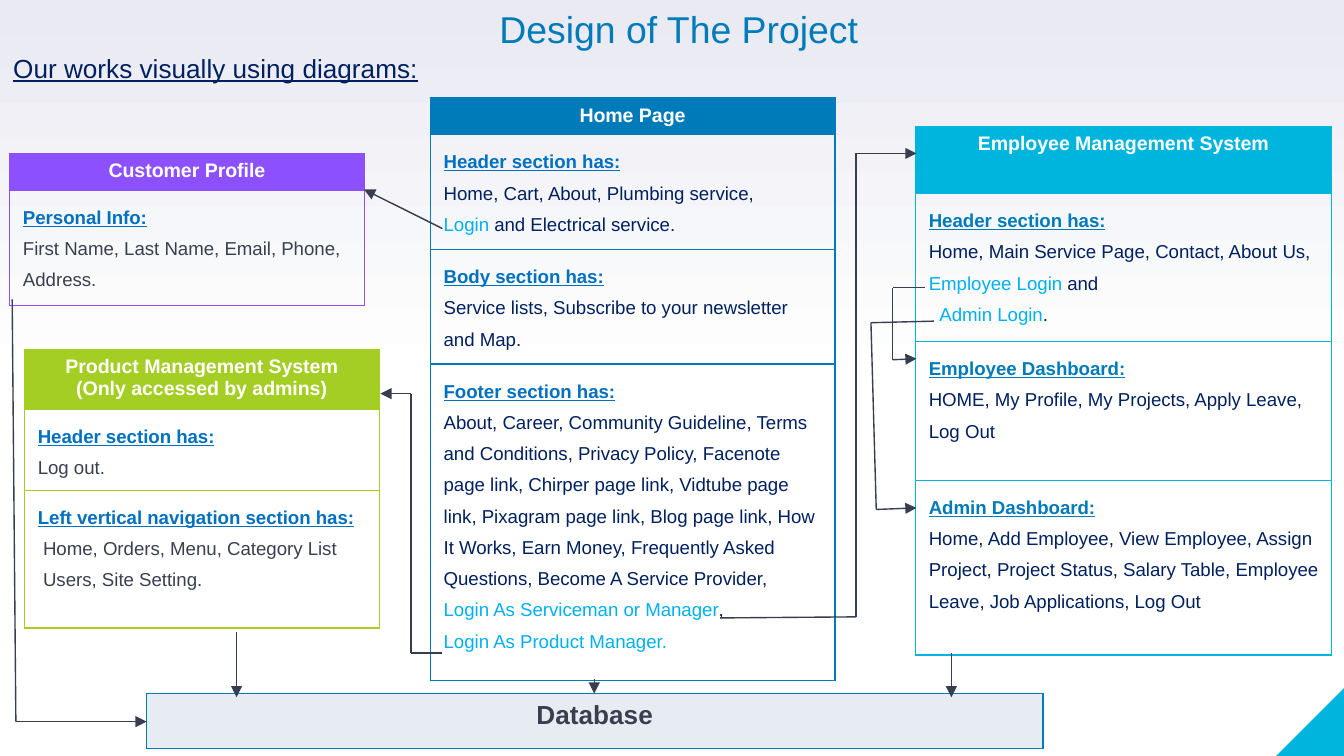
"""Build the project design slide: page tables linked by arrows to a database."""
from copy import deepcopy
from itertools import pairwise

from lxml import etree
from pptx import Presentation
from pptx import util as u
from pptx.dml.color import RGBColor
from pptx.enum import shapes, text
from pptx.oxml.ns import qn

WHITE = RGBColor(0xFF, 0xFF, 0xFF)
MIST = RGBColor(0xE9, 0xEA, 0xF2)
PALE = RGBColor(0xE7, 0xEC, 0xF3)
NAVY = RGBColor(0x00, 0x20, 0x60)
SLATE = RGBColor(0x3A, 0x3F, 0x50)
ARROW = RGBColor(0x38, 0x3D, 0x4F)
BLUE = RGBColor(0x00, 0x7B, 0xB9)
LINK = RGBColor(0x00, 0x70, 0xC0)
SKY = RGBColor(0x00, 0xB0, 0xF0)
CYAN = RGBColor(0x00, 0xB5, 0xDD)
GREEN = RGBColor(0xA4, 0xCE, 0x23)
PURPLE = RGBColor(0x8C, 0x50, 0xFF)


def write(paragraph, words, size=10, color=NAVY, bold=False, underline=False):
    run = paragraph.add_run()
    run.text = words
    font = run.font
    font.name, font.size, font.bold, font.underline = "Arial", u.Pt(size), bold, underline
    font.color.rgb = color


class Diagram:
    def __init__(self, slide, body_color=NAVY, line_width=0.75):
        self.slide = slide
        self.body_color = body_color
        self.line_width = line_width

    def background(self):
        fill = self.slide.background.fill
        fill.gradient()
        fill.gradient_angle = 90
        first = next(self.slide.element.iter(qn("a:gs")))
        first.addnext(deepcopy(first))
        for stop, position, color in zip(fill.gradient_stops, (0, 0.5, 1), (WHITE, WHITE, MIST)):
            stop.position = position
            stop.color.rgb = color

    def corner(self, left, top, side):
        corner = self.slide.shapes.add_shape(
            shapes.MSO_SHAPE.RIGHT_TRIANGLE, u.Cm(left), u.Cm(top), u.Cm(side), u.Cm(side))
        corner.rotation = 270
        corner.shadow.inherit = False
        corner.fill.solid()
        corner.fill.fore_color.rgb = CYAN
        corner.line.fill.background()

    def heading(self, words, left, top, width, height, **style):
        box = self.slide.shapes.add_textbox(u.Cm(left), u.Cm(top), u.Cm(width), u.Cm(height))
        box.text_frame.word_wrap = False
        write(box.text_frame.paragraphs[0], words, **style)

    def style_cell(self, cell, border, fill=None):
        properties = cell._tc.get_or_add_tcPr()
        for side in ("a:lnL", "a:lnR", "a:lnT", "a:lnB"):
            line = etree.SubElement(properties, qn(side), w=str(u.Pt(self.line_width)))
            solid = etree.SubElement(line, qn("a:solidFill"))
            etree.SubElement(solid, qn("a:srgbClr"), val=str(border))
        if fill is None:
            cell.fill.background()
        else:
            cell.fill.solid()
            cell.fill.fore_color.rgb = fill

    def panel(self, titles, sections, left, top, width, heights, accent,
              title_fill=None, title_color=WHITE, title_size=10.5, link=LINK):
        frame = self.slide.shapes.add_table(
            len(heights), 1, u.Cm(left), u.Cm(top), u.Cm(width), u.Cm(sum(heights)))
        table = frame.table
        table.first_row = table.horz_banding = False
        for row, height in zip(table.rows, heights):
            row.height = u.Cm(height)
        title_cell, *section_cells = (row.cells[0] for row in table.rows)
        self.style_cell(title_cell, accent, title_fill or accent)
        for index, title in enumerate(titles):
            paragraph = self.paragraph(title_cell, index)
            paragraph.alignment = text.PP_ALIGN.CENTER
            write(paragraph, title, size=title_size, color=title_color, bold=True)
        for cell, (name, indents, *lines) in zip(section_cells, sections):
            self.style_cell(cell, accent)
            paragraph = self.paragraph(cell, 0, 1.5)
            write(paragraph, name, color=link, bold=True, underline=True)
            for index, runs in enumerate(lines, 1):
                paragraph = self.paragraph(cell, index, 1.5)
                if index in indents:
                    paragraph._p.get_or_add_pPr().set("marL", str(u.Cm(indents[index])))
                for words, color in runs:
                    write(paragraph, words, color=color or self.body_color)

    def paragraph(self, cell, index, spacing=None):
        frame = cell.text_frame
        paragraph = frame.add_paragraph() if index else frame.paragraphs[0]
        paragraph.line_spacing = spacing
        return paragraph

    def route(self, *points):
        for start, end in pairwise(points):
            line = self.slide.shapes.add_connector(
                shapes.MSO_CONNECTOR.STRAIGHT, *map(u.Cm, start), *map(u.Cm, end))
            line.line.color.rgb = ARROW
            line.line.width = u.Pt(self.line_width)
            etree.SubElement(line._element.spPr, qn("a:effectLst"))
        etree.SubElement(line.line._get_or_add_ln(), qn("a:tailEnd"), type="triangle")


HOME = [
    ("Header section has:", {},
     [("Home, Cart, About, Plumbing service,", None)],
     [("Login", SKY), (" and Electrical service.", None)]),
    ("Body section has:", {},
     [("Service lists, Subscribe to your newsletter and Map.", None)]),
    ("Footer section has:", {},
     [("About, Career, Community Guideline, Terms and Conditions, Privacy Policy, Facenote "
       "page link, Chirper page link, Vidtube page link, Pixagram page link, Blog page link, "
       "How It Works, Earn Money, Frequently Asked Questions, Become A Service Provider,", None)],
     [("Login As Serviceman or Manager", SKY), (",", None)],
     [("Login As Product Manager.", SKY)]),
]
EMPLOYEE = [
    ("Header section has:", {2: 0.2},
     [("Home, Main Service Page, Contact, About Us, ", None), ("Employee Login ", SKY),
      ("and", None)],
     [("Admin Login", SKY), (".", None)]),
    ("Employee Dashboard:", {},
     [("HOME, My Profile, My Projects, Apply Leave, Log Out", None)]),
    ("Admin Dashboard:", {},
     [("Home, Add Employee, View Employee, Assign Project, Project Status, Salary Table, "
       "Employee Leave, Job Applications, Log Out", None)]),
]
PRODUCT = [
    ("Header section has:", {}, [("Log out.", SLATE)]),
    ("Left vertical navigation section has:", {1: 0.1, 2: 0.1},
     [("Home, Orders, Menu, Category List", SLATE)], [("Users, Site Setting.", SLATE)]),
]
CUSTOMER = [
    ("Personal Info:", {}, [("First Name, Last Name, Email, Phone, Address.", SLATE)]),
]
ROUTES = [
    [(13.61, 11.68), (16.18, 11.66), (16.18, 2.9), (17.32, 2.9)],
    [(17.48, 5.44), (16.87, 5.44), (16.87, 6.8), (17.32, 6.78)],
    [(17.65, 6.07), (16.46, 6.1), (16.56, 9.63), (17.32, 9.6)],
    [(8.36, 12.34), (7.77, 12.34), (7.77, 7.44), (7.19, 7.44)],
    [(8.36, 4.32), (6.88, 3.58)],
    [(0.23, 5.66), (0.3, 13.64), (2.77, 13.64)],
    [(4.47, 11.94), (4.47, 13.18)],
    [(11.23, 12.83), (11.23, 13.11)],
    [(17.98, 12.34), (17.98, 13.18)],
]


def main():
    deck = Presentation()
    deck.slide_width, deck.slide_height = u.Cm(25.4), u.Cm(14.29)
    diagram = Diagram(deck.slides.add_slide(deck.slide_layouts[6]))
    diagram.background()
    diagram.corner(24.12, 13.01, 1.28)
    diagram.heading("Design of The Project", 9.19, 0, 7.37, 1.11, size=20, color=BLUE)
    diagram.heading("Our works visually using diagrams:", 0, 0.86, 8.2, 0.86,
                    size=14, underline=True)
    diagram.panel(["Home Page"], HOME, 8.13, 1.85, 7.65, [0.7, 2.17, 2.16, 5.97], BLUE)
    diagram.panel(["Employee Management System"], EMPLOYEE, 17.3, 2.39, 7.87,
                  [1.27, 2.8, 2.62, 3.3], CYAN, link=BLUE)
    diagram.panel(["Product Management System", "(Only accessed by admins)"], PRODUCT,
                  0.46, 6.6, 6.71, [1.14, 1.52, 2.6], GREEN)
    diagram.panel(["Customer Profile"], CUSTOMER, 0.18, 2.9, 6.71, [0.7, 2.17], PURPLE)
    diagram.panel(["Database"], [], 2.77, 13.11, 16.94, [1.04], BLUE,
                  title_fill=PALE, title_color=SLATE, title_size=14)
    for points in ROUTES:
        diagram.route(*points)
    deck.save("out.pptx")


if __name__ == "__main__":
    main()
